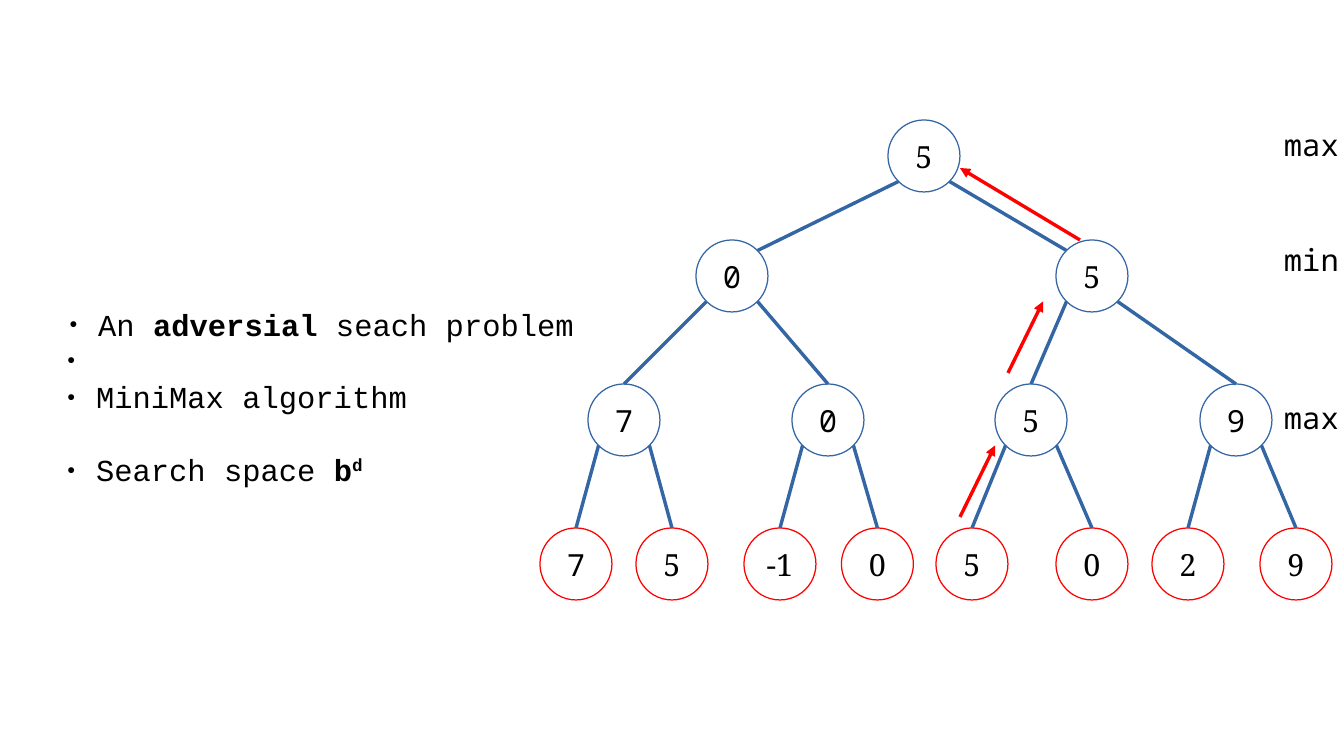
from lxml import etree
from pptx import Presentation
from pptx.dml.color import RGBColor
from pptx.enum.shapes import MSO_CONNECTOR, MSO_SHAPE
from pptx.enum.text import MSO_ANCHOR, MSO_AUTO_SIZE, PP_ALIGN
from pptx.oxml.ns import qn
from pptx.util import Cm, Pt

LINE, OVAL = MSO_CONNECTOR.STRAIGHT, MSO_SHAPE.OVAL
MID, FIXED = MSO_ANCHOR.MIDDLE, MSO_AUTO_SIZE.NONE
LEFT, CENTER = PP_ALIGN.LEFT, PP_ALIGN.CENTER
HUES = {"ink": "000000", "paper": "FFFFFF", "edge": "3465A4", "leaf": "FF0000"}
MONO, SERIF, CODE = "Noto Sans Mono", "Noto Serif", "Courier New"
SIZE = 1.5
DIAG = 0.22
LEVELS = [
    (0, [(7.25, "5", SERIF)]),
    (2.5, [(3.25, "0", MONO), (10.75, "5", SERIF)]),
    (5.5, [(1, "7", MONO), (5.25, "0", MONO), (9.48, "5", SERIF), (13.75, "9", MONO)]),
    (8.5, [(0, "7", MONO), (2, "5", SERIF), (4.25, "-1", SERIF), (6.28, "0", SERIF),
           (8.25, "5", SERIF), (10.75, "0", SERIF), (12.75, "2", SERIF), (15, "9", SERIF)]),
]
MOVES = [(8.75, 8.27, 9.48, 6.78), (9.75, 5.27, 10.48, 3.78), (11.25, 2.5, 8.75, 1)]
LABELS = [(0, "max"), (2.4, "min"), (5.68, "max")]
POINTS = [
    [("An ", False, 0), ("adversial", True, 0), (" seach problem", False, 0)],
    [(" ", False, 0)],
    [("MiniMax algorithm", False, 0)],
    [("Search space ", False, 0), ("b", True, 0), ("d", True, 33000)],
]


def color(name):
    """Return the named colour."""
    return RGBColor.from_string(HUES[name])


def text(para, words, font=MONO, align=LEFT, bold=False, base=0):
    """Add one formatted run to a paragraph."""
    para.alignment = align
    run = para.add_run()
    run.text = words
    run.font.name, run.font.size, run.font.bold = font, Pt(18), bold
    run.font.color.rgb = color("ink")
    if base:
        run.font._element.set("baseline", str(base))


def bullet(para):
    """Give a paragraph a small round bullet and a hanging indent."""
    props = para._p.get_or_add_pPr()
    props.set("marL", str(Cm(0.6)))
    props.set("indent", str(-Cm(0.6)))
    hue = etree.SubElement(props, qn("a:buClr"))
    etree.SubElement(hue, qn("a:srgbClr"), val=HUES["ink"])
    etree.SubElement(props, qn("a:buSzPct"), val="45000")
    etree.SubElement(props, qn("a:buChar"), char="●")


def link(slide, ends, hue, arrow=False):
    """Draw a hairline between two points, with an arrowhead on request."""
    line = slide.shapes.add_connector(LINE, *[Cm(n) for n in ends])
    line.line.color.rgb = color(hue)
    line.line.width = 0
    if arrow:
        etree.SubElement(line.line._get_or_add_ln(), qn("a:tailEnd"), type="triangle")
    etree.SubElement(line._element.spPr, qn("a:effectLst"))


def node(slide, x, y, words, font, hue):
    """Draw one round tree node."""
    ball = slide.shapes.add_shape(OVAL, Cm(x), Cm(y), Cm(SIZE), Cm(SIZE))
    ball.shadow.inherit = False
    ball.fill.solid()
    ball.fill.fore_color.rgb = color("paper")
    ball.line.color.rgb = color(hue)
    ball.line.width = 0
    frame = ball.text_frame
    frame.vertical_anchor = MID
    frame.word_wrap = False
    text(frame.paragraphs[0], words, font=font, align=CENTER)


def tree(slide, left, top):
    """Draw the game tree with its edges and the chosen moves."""
    for depth, (y, row) in enumerate(LEVELS):
        hue = "leaf" if depth == len(LEVELS) - 1 else "edge"
        for i, (x, words, font) in enumerate(row):
            node(slide, left + x, top + y, words, font, hue)
            if depth == 0:
                continue
            above, kin = LEVELS[depth - 1]
            side = i % 2
            start = kin[i // 2][0] + (SIZE - DIAG if side else DIAG)
            end, drop = x + SIZE / 2, 0
            if depth == 1:
                end, drop = x + (DIAG if side else SIZE - DIAG), DIAG
            link(slide, (left + start, top + above + SIZE - DIAG,
                         left + end, top + y + drop), "edge")
    for x1, y1, x2, y2 in MOVES:
        link(slide, (left + x1, top + y1, left + x2, top + y2), "leaf", arrow=True)


def labels(slide, left, top):
    """Name the player of each level."""
    for y, words in LABELS:
        box = slide.shapes.add_textbox(Cm(left), Cm(top + y), Cm(1.5), Cm(1.1))
        frame = box.text_frame
        frame.word_wrap = True
        frame.margin_right = 0
        text(frame.paragraphs[0], words)


def points(slide, left, top, width, height):
    """Fill the subtitle placeholder with the bullet list."""
    body = slide.placeholders[1]
    body.left, body.top = Cm(left), Cm(top)
    body.width, body.height = Cm(width), Cm(height)
    frame = body.text_frame
    frame.margin_left = frame.margin_right = frame.margin_top = frame.margin_bottom = 0
    frame.vertical_anchor, frame.auto_size = MID, FIXED
    frame.word_wrap = True
    for i, runs in enumerate(POINTS):
        para = frame.add_paragraph() if i else frame.paragraphs[0]
        para.line_spacing = Pt(21.5)
        para.space_before = Pt(21.5 if i == len(POINTS) - 1 else 0)
        for words, bold, base in runs:
            text(para, words, font=CODE, align=LEFT if i else CENTER, bold=bold, base=base)
        bullet(para)


def main():
    """Build and save the slide."""
    deck = Presentation()
    deck.slide_width, deck.slide_height = Cm(28), Cm(15.75)
    slide = deck.slides.add_slide(deck.slide_layouts[0])
    title = slide.shapes.title._element
    title.getparent().remove(title)
    points(slide, 1.4, 3.69, 10.6, 9.15)
    tree(slide, 11.25, 2.5)
    labels(slide, 26.5, 2.5)
    deck.save("out.pptx")


if __name__ == "__main__":
    main()
